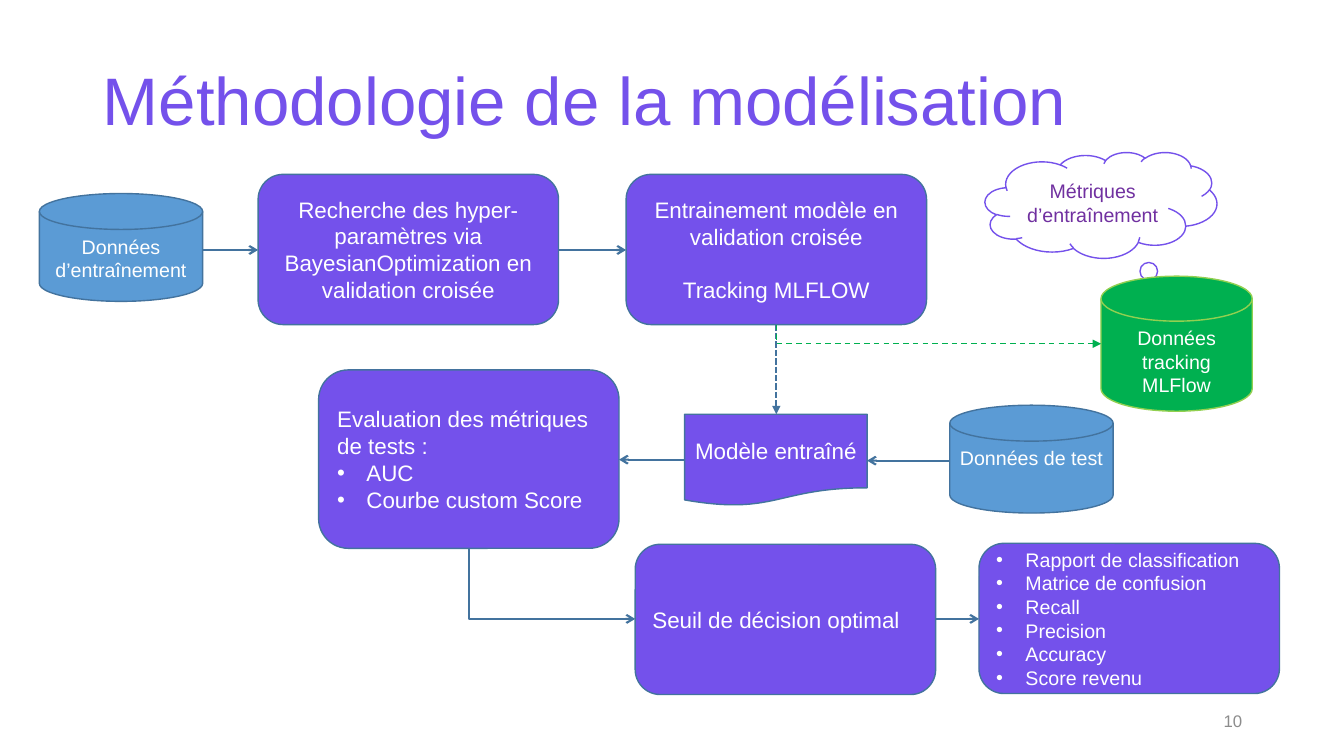
from lxml.etree import SubElement as Sub
from pptx import Presentation
from pptx.dml.color import RGBColor
from pptx.enum.dml import MSO_LINE as Dash
from pptx.enum.shapes import MSO_CONNECTOR as Conn, MSO_SHAPE as Kind
from pptx.enum.text import MSO_ANCHOR as Anchor, MSO_AUTO_SIZE as Auto, PP_ALIGN as Align
from pptx.oxml.ns import qn
from pptx.util import Pt

PX = 9144  # 100 px to the inch
VIOLET, BLUE, EDGE, GREEN = "7451EB", "5B9BD5", "43739E", "00B050"


def paint(part, color):
    """Fill a shape, a line or a font with a hex colour."""
    if hasattr(part, "solid"):
        part.solid()
        part.fore_color.rgb = RGBColor.from_string(color)
    else:
        part.color.rgb = RGBColor.from_string(color)


def write(shape, text, size=16, color="FFFFFF", align=Align.CENTER,
          anchor=Anchor.MIDDLE, dots=None, gap=0, lead=None):
    """Set the text; lines from index dots on are bullets, gap parts lines."""
    frame = shape.text_frame
    frame.word_wrap = True
    frame.auto_size = Auto.NONE
    frame.vertical_anchor = anchor
    for i, line in enumerate(text.split("\n")):
        para = frame.add_paragraph() if i else frame.paragraphs[0]
        para.alignment = align
        if lead:
            para.line_spacing = lead
        if i and gap:
            para.space_before = Pt(gap)
        if dots is not None and i >= dots:
            props = para._p.get_or_add_pPr()
            props.set("marL", "265000")
            props.set("indent", "-265000")
            Sub(props, qn("a:buFont"), typeface="Arial")
            Sub(props, qn("a:buChar"), char="•")
        run = para.add_run()
        run.text = line
        run.font.name, run.font.size = "Arial", Pt(size)
        paint(run.font, color)


deck = Presentation()
deck.slide_width, deck.slide_height = 1333 * PX, 750 * PX
slide = deck.slides.add_slide(deck.slide_layouts[5])
shapes = slide.shapes

# Title and page number
title = shapes.title
title.left, title.top, title.width, title.height = [n * PX for n in (92, 30, 1150, 145)]
write(title, "Méthodologie de la modélisation", size=48, color=VIOLET,
      align=Align.LEFT, lead=0.9)
page = shapes.add_textbox(*[n * PX for n in (942, 695, 300, 40)])
write(page, "10", size=12, color="8C8C8C", align=Align.RIGHT)

# Steps, cloud and data stores: kind, place, fill, line, text, format
box, doc, disk = Kind.ROUNDED_RECTANGLE, Kind.FLOWCHART_DOCUMENT, Kind.FLOWCHART_MAGNETIC_DISK
left = dict(align=Align.LEFT)
store = dict(size=14, anchor=Anchor.TOP)
nodes = [
    (box, (256, 173, 298, 149), VIOLET, EDGE,
     "Recherche des hyper-paramètres via BayesianOptimization en validation croisée", {}),
    (box, (621, 173, 298, 149), VIOLET, EDGE,
     "Entrainement modèle en validation croisée\nTracking MLFLOW", dict(gap=19)),
    (doc, (679, 411, 181, 91), VIOLET, EDGE, "Modèle entraîné", {}),
    (Kind.CLOUD_CALLOUT, (977, 151, 230, 105), None, VIOLET,
     "Métriques d’entraînement", dict(size=14, color="7030A0")),
    (box, (316, 367, 298, 177), VIOLET, EDGE,
     "Evaluation des métriques de tests :\nAUC\nCourbe custom Score", dict(left, dots=1)),
    (box, (630, 540, 298, 149), VIOLET, EDGE, "Seuil de décision optimal", left),
    (box, (971, 539, 298, 149), VIOLET, EDGE,
     "Rapport de classification\nMatrice de confusion\nRecall\nPrecision\nAccuracy\nScore revenu",
     dict(left, size=14, dots=0)),
    (disk, (39, 192, 162, 107), BLUE, EDGE, "Données d’entraînement", store),
    (disk, (942, 402, 162, 107), BLUE, EDGE, "Données de test", store),
    (disk, (1092, 274, 150, 134), GREEN, "92D050", "Données tracking MLFlow", store),
]
for kind, place, fill, edge, text, style in nodes:
    node = shapes.add_shape(kind, *[n * PX for n in place])
    node.shadow.inherit = False
    if fill:
        paint(node.fill, fill)
    else:
        node.fill.background()
    paint(node.line, edge)
    node.line.width = Pt(1)
    if kind == Kind.CLOUD_CALLOUT:
        node.adjustments[0], node.adjustments[1] = 0.32, 0.97
    write(node, text, **style)

# Arrows: start, end, colour, width, dash, head
arrows = [
    (201, 248, 256, 248, EDGE, 1.5, None, "arrow"),
    (554, 248, 621, 248, EDGE, 1.5, None, "arrow"),
    (942, 457, 860, 457, EDGE, 1.5, None, "arrow"),
    (679, 456, 614, 456, EDGE, 1.5, None, "arrow"),
    (465, 544, 630, 614, EDGE, 1.5, None, "arrow"),
    (928, 614, 971, 614, EDGE, 1.5, None, "arrow"),
    (770, 322, 770, 411, EDGE, 1.5, Dash.SQUARE_DOT, "triangle"),
    (770, 322, 1092, 341, GREEN, 1, Dash.DASH, "triangle"),
]
for x1, y1, x2, y2, color, width, dash, head in arrows:
    bent = x1 != x2 and y1 != y2
    ends = x1, y1, x2, y2
    if bent:  # down, then right: a quarter turn about the centre
        mx, my, dx, dy = (x1 + x2) / 2, (y1 + y2) / 2, (x2 - x1) / 2, (y2 - y1) / 2
        ends = mx - dy, my + dx, mx + dy, my - dx
    link = shapes.add_connector(Conn.ELBOW if bent else Conn.STRAIGHT,
                                *[int(n * PX) for n in ends])
    props = link._element.spPr
    if bent:
        props.find(qn("a:xfrm")).set("rot", "5400000")
        props.find(qn("a:prstGeom")).set("prst", "bentConnector2")
    paint(link.line, color)
    link.line.width = Pt(width)
    if dash:
        link.line.dash_style = dash
    Sub(props.find(qn("a:ln")), qn("a:tailEnd"), type=head)
    Sub(props, qn("a:effectLst"))

deck.save("out.pptx")
